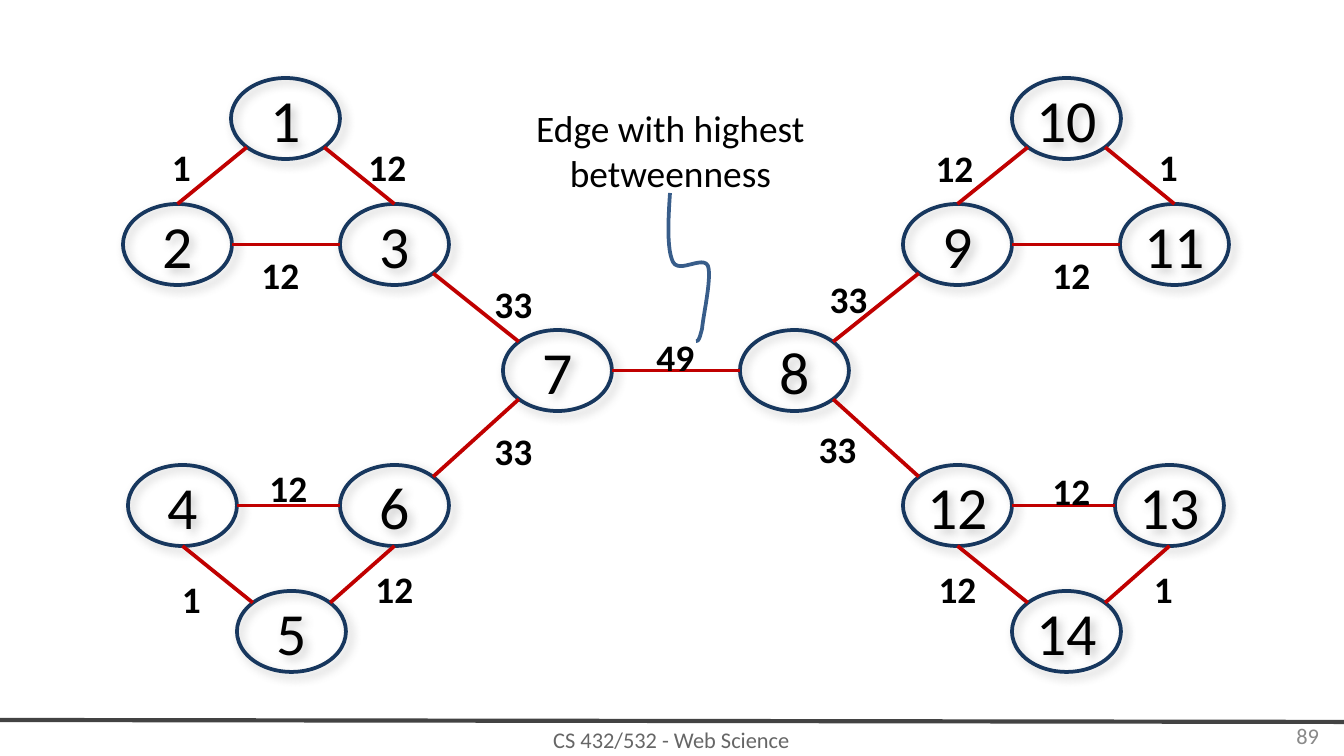
from lxml import etree
from pptx import Presentation
from pptx.dml.color import RGBColor
from pptx.enum.shapes import MSO_CONNECTOR, MSO_SHAPE
from pptx.enum.text import MSO_ANCHOR, PP_ALIGN
from pptx.oxml.ns import qn
from pptx.util import Pt

STRAIGHT = MSO_CONNECTOR.STRAIGHT
OVAL = MSO_SHAPE.OVAL
TOP, MIDDLE = MSO_ANCHOR.TOP, MSO_ANCHOR.MIDDLE
CENTER, RIGHT = PP_ALIGN.CENTER, PP_ALIGN.RIGHT

BLACK = RGBColor(0x00, 0x00, 0x00)
NAVY = RGBColor(0x17, 0x37, 0x5E)
RED = RGBColor(0xC0, 0x00, 0x00)
BLUE = RGBColor(0x38, 0x5D, 0x8A)
RULE_GRAY = RGBColor(0x43, 0x43, 0x43)
FOOTER_GRAY = RGBColor(0x66, 0x66, 0x66)
NUMBER_GRAY = RGBColor(0x89, 0x89, 0x89)

FONT = "Calibri"
PX_PER_INCH = 134.4
SCALE = 914400 / PX_PER_INCH
NODE_W, NODE_H = 109, 81
LABEL_W, LABEL_H = 87, 44
DIAGONAL = 0.71

SITES = {
    "n": (0, -1), "s": (0, 1), "w": (-1, 0), "e": (1, 0),
    "nw": (-DIAGONAL, -DIAGONAL), "ne": (DIAGONAL, -DIAGONAL),
    "sw": (-DIAGONAL, DIAGONAL), "se": (DIAGONAL, DIAGONAL),
}

NODES = {
    1: (231, 78), 2: (123, 204), 3: (340, 204),
    4: (128, 465), 5: (237, 591), 6: (340, 465),
    7: (503, 330), 8: (740, 330),
    9: (903, 204), 10: (1012, 78), 11: (1120, 204),
    12: (903, 465), 13: (1115, 465), 14: (1012, 591),
}

EDGES = [
    (1, "sw", 2, "n", "1", (138, 137)),
    (1, "se", 3, "n", "12", (344, 137)),
    (2, "e", 3, "w", "12", (237, 245)),
    (4, "s", 5, "nw", "1", (148, 569)),
    (4, "e", 6, "w", "12", (245, 458)),
    (5, "ne", 6, "s", "12", (351, 559)),
    (10, "sw", 9, "n", "12", (911, 138)),
    (10, "se", 11, "n", "1", (1125, 137)),
    (9, "e", 11, "w", "12", (1028, 245)),
    (12, "e", 13, "w", "12", (1028, 461)),
    (12, "s", 14, "nw", "12", (914, 559)),
    (13, "s", 14, "ne", "1", (1120, 559)),
    (3, "se", 7, "nw", "33", (470, 274)),
    (6, "ne", 7, "sw", "33", (470, 421)),
    (7, "e", 8, "w", "49", (632, 327)),
    (8, "ne", 9, "sw", "33", (805, 269)),
    (8, "se", 12, "nw", "33", (794, 419)),
]

POINTER_START = (696, 341)
POINTER_CURVES = [
    ((698, 341), (699, 341), (702, 329)),
    ((703, 317), (712, 277), (708, 266)),
    ((703, 255), (679, 274), (673, 262)),
    ((667, 250), (668, 222), (670, 193)),
]
CURVE_STEPS = 12


def px(length):
    return round(length * SCALE)


def write_text(shape, text, size, color=BLACK, bold=False, align=CENTER,
               anchor=TOP, side=13, edge=7):
    frame = shape.text_frame
    frame.word_wrap = True
    frame.vertical_anchor = anchor
    frame.margin_left = frame.margin_right = px(side)
    frame.margin_top = frame.margin_bottom = px(edge)
    paragraph = frame.paragraphs[0]
    paragraph.alignment = align
    run = paragraph.add_run()
    run.text = text
    run.font.name = FONT
    run.font.size = Pt(size)
    run.font.bold = bold
    run.font.color.rgb = color


def add_text(slide, box, text, size, **style):
    write_text(slide.shapes.add_textbox(*map(px, box)), text, size, **style)


def add_line(slide, start, end, color, width):
    line = slide.shapes.add_connector(STRAIGHT, *map(px, (*start, *end)))
    line.line.color.rgb = color
    line.line.width = Pt(width)
    etree.SubElement(line._element.spPr, qn("a:effectLst"))


def add_soft_shadow(shape):
    shape.shadow.inherit = False
    effects = shape._element.spPr.find(qn("a:effectLst"))
    shadow = etree.SubElement(
        effects, qn("a:outerShdw"), blurRad=str(Pt(5)), dist=str(Pt(3)),
        dir=str(45 * 60000), algn="tl", rotWithShape="0")
    tint = etree.SubElement(shadow, qn("a:srgbClr"), val="808080")
    etree.SubElement(tint, qn("a:alpha"), val="40000")


def add_node(slide, number, position):
    node = slide.shapes.add_shape(OVAL, *map(px, (*position, NODE_W, NODE_H)))
    node.fill.background()
    node.line.color.rgb = NAVY
    node.line.width = Pt(2)
    add_soft_shadow(node)
    write_text(node, str(number), 32, anchor=MIDDLE,
               side=13 if number < 10 else 0)


def site_point(number, site):
    left, top = NODES[number]
    across, down = SITES[site]
    return left + NODE_W / 2 * (1 + across), top + NODE_H / 2 * (1 + down)


def bezier_point(controls, t):
    weights = ((1 - t) ** 3, 3 * t * (1 - t) ** 2, 3 * t ** 2 * (1 - t), t ** 3)
    return tuple(sum(w * c for w, c in zip(weights, axis))
                 for axis in zip(*controls))


def add_pointer(slide):
    points = []
    start = POINTER_START
    for curve in POINTER_CURVES:
        points += [bezier_point((start, *curve), step / CURVE_STEPS)
                   for step in range(1, CURVE_STEPS + 1)]
        start = curve[-1]
    builder = slide.shapes.build_freeform(*map(px, POINTER_START))
    builder.add_line_segments([(px(x), px(y)) for x, y in points], close=False)
    pointer = builder.convert_to_shape()
    pointer.fill.background()
    pointer.line.color.rgb = BLUE
    pointer.line.width = Pt(2)
    pointer.shadow.inherit = False


def main():
    deck = Presentation()
    deck.slide_width, deck.slide_height = px(1344), px(756)
    slide = deck.slides.add_slide(deck.slide_layouts[6])

    add_line(slide, (0, 720), (1344, 722), RULE_GRAY, 2.25)
    add_text(slide, (245, 722, 853, 35), "CS 432/532 - Web Science", 12,
             color=FOOTER_GRAY, anchor=MIDDLE, edge=13)

    for number, position in NODES.items():
        add_node(slide, number, position)
    for first, first_site, second, second_site, _, _ in EDGES:
        add_line(slide, site_point(first, first_site),
                 site_point(second, second_site), RED, 2)

    add_text(slide, (457, 98, 427, 78), "Edge with highest betweenness", 20)
    for *_, betweenness, position in EDGES:
        add_text(slide, (*position, LABEL_W, LABEL_H), betweenness, 20, bold=True)
    add_pointer(slide)
    add_text(slide, (1019, 716, 313, 40), "89", 12,
             color=NUMBER_GRAY, align=RIGHT, anchor=MIDDLE)

    deck.save("out.pptx")


if __name__ == "__main__":
    main()
